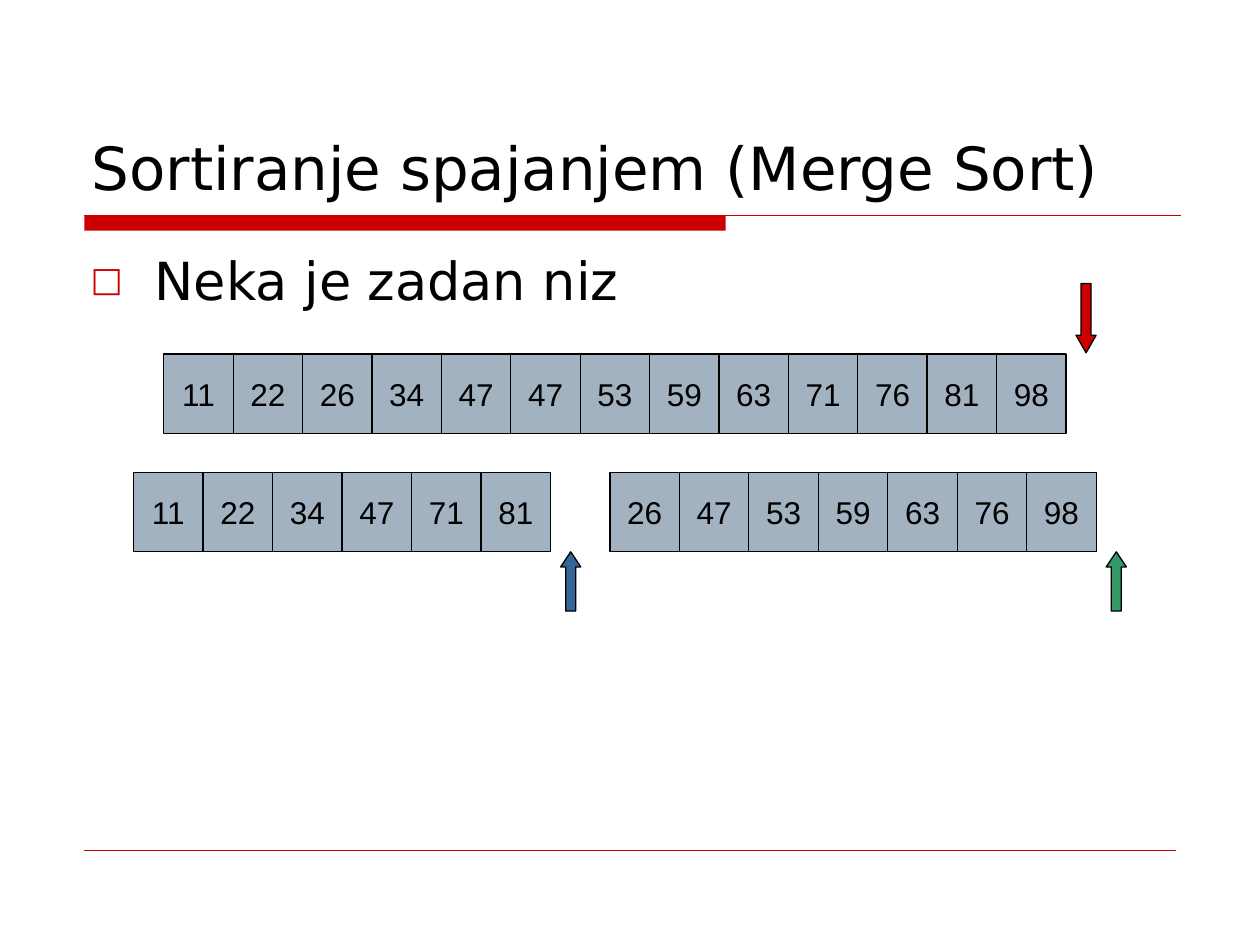
from dataclasses import dataclass

from lxml.etree import SubElement as Sub
from pptx import Presentation as Deck
from pptx.dml.color import RGBColor as Color
from pptx.enum.shapes import MSO_CONNECTOR as Link, MSO_SHAPE as Kind
from pptx.enum.text import MSO_ANCHOR as Anchor, PP_ALIGN as Align
from pptx.oxml.ns import qn
from pptx.util import Inches, Pt


@dataclass(frozen=True)
class Theme:
    red: str = "CC0000"
    blue: str = "336699"
    green: str = "339966"
    cell: str = "A3B2C1"
    ink: str = "000000"
    sans: str = "DejaVu Sans"
    arial: str = "Arial"
    title: float = 34
    body: float = 30
    digit: float = 18
    edge: float = 0.75
    hair: float = 0.25


@dataclass(frozen=True)
class Row:
    left: float
    right: float
    top: float
    items: tuple[int, ...]


@dataclass(frozen=True)
class Arrow:
    kind: Kind
    left: float
    top: float
    tall: float
    head: float
    fill: str


THEME = Theme()
CELL_TALL = 0.63
ARROW_WIDE = 0.16

ROWS = (
    Row(1.3, 8.46, 2.81, (11, 22, 26, 34, 47, 47, 53, 59, 63, 71, 76, 81, 98)),
    Row(1.06, 4.37, 3.75, (11, 22, 34, 47, 71, 81)),
    Row(4.84, 8.7, 3.75, (26, 47, 53, 59, 63, 76, 98)),
)

ARROWS = (
    Arrow(Kind.UP_ARROW, 4.45, 4.38, 0.47, 0.75, THEME.blue),
    Arrow(Kind.UP_ARROW, 8.78, 4.38, 0.47, 0.75, THEME.green),
    Arrow(Kind.DOWN_ARROW, 8.54, 2.25, 0.55, 0.87, THEME.red),
)


def write(shape, text: str, *, size: float, font: str, align=Align.LEFT,
          anchor=Anchor.TOP, wrap: bool = True, before: float = 0):
    frame = shape.text_frame
    frame.word_wrap = wrap
    frame.vertical_anchor = anchor
    para = frame.paragraphs[0]
    para.alignment = align
    para.space_before = Pt(before)
    run = para.add_run()
    run.text = text
    run.font.size = Pt(size)
    run.font.name = font
    run.font.color.rgb = Color.from_string(THEME.ink)
    return para


def add_box(slide, left: float, top: float, wide: float, tall: float):
    return slide.shapes.add_textbox(*map(Inches, (left, top, wide, tall)))


def add_form(slide, kind: Kind, left: float, top: float, wide: float,
             tall: float, fill: str, edge: str | None = THEME.ink):
    form = slide.shapes.add_shape(kind, *map(Inches, (left, top, wide, tall)))
    form.shadow.inherit = False
    form.fill.solid()
    form.fill.fore_color.rgb = Color.from_string(fill)
    if edge is None:
        form.line.fill.background()
    else:
        form.line.color.rgb = Color.from_string(edge)
        form.line.width = Pt(THEME.edge)
    return form


def add_rule(slide, left: float, right: float, top: float, width: float) -> None:
    rule = slide.shapes.add_connector(
        Link.STRAIGHT, *map(Inches, (left, top, right, top)))
    rule.line.color.rgb = Color.from_string(THEME.red)
    rule.line.width = Pt(width)
    Sub(rule._element.spPr, qn("a:effectLst"))


def add_bullet(para, mark: str, indent: float, percent: int) -> None:
    props = para._p.get_or_add_pPr()
    props.set("marL", str(Inches(indent)))
    props.set("indent", str(-Inches(indent)))
    Sub(Sub(props, qn("a:buClr")), qn("a:srgbClr"), val=THEME.red)
    Sub(props, qn("a:buSzPct"), val=str(percent * 1000))
    Sub(props, qn("a:buFont"), typeface=THEME.sans)
    Sub(props, qn("a:buChar"), char=mark)


def draw_row(slide, row: Row) -> None:
    pitch = (row.right - row.left) / len(row.items)
    for i, item in enumerate(row.items):
        cell = add_form(slide, Kind.RECTANGLE, row.left + i * pitch, row.top,
                        pitch, CELL_TALL, THEME.cell)
        write(cell, str(item), size=THEME.digit, font=THEME.arial,
              align=Align.CENTER, anchor=Anchor.MIDDLE, wrap=False)


def draw_arrow(slide, arrow: Arrow) -> None:
    form = add_form(slide, arrow.kind, arrow.left, arrow.top, ARROW_WIDE,
                    arrow.tall, arrow.fill)
    form.adjustments[0] = 0.5
    form.adjustments[1] = arrow.head


def main() -> None:
    deck = Deck()
    deck.slide_width, deck.slide_height = Inches(10), Inches(7.5)
    slide = deck.slides.add_slide(deck.slide_layouts[6])

    add_form(slide, Kind.RECTANGLE, 0.67, 1.71, 5.09, 0.12, THEME.red, None)
    add_rule(slide, 0.67, 9.37, 1.71, THEME.edge)
    add_rule(slide, 0.67, 9.33, 6.75, THEME.hair)

    body = write(add_box(slide, 0.62, 1.92, 8.75, 4.67), "Neka je zadan niz",
                 size=THEME.body, font=THEME.sans, before=7.5)
    add_bullet(body, "□", 0.51, 65)

    for row in ROWS:
        draw_row(slide, row)

    write(add_box(slide, 0.63, 0.33, 8.75, 1.33),
          "Sortiranje spajanjem (Merge Sort)",
          size=THEME.title, font=THEME.sans, anchor=Anchor.BOTTOM)

    for arrow in ARROWS:
        draw_arrow(slide, arrow)

    deck.save("out.pptx")


if __name__ == "__main__":
    main()
